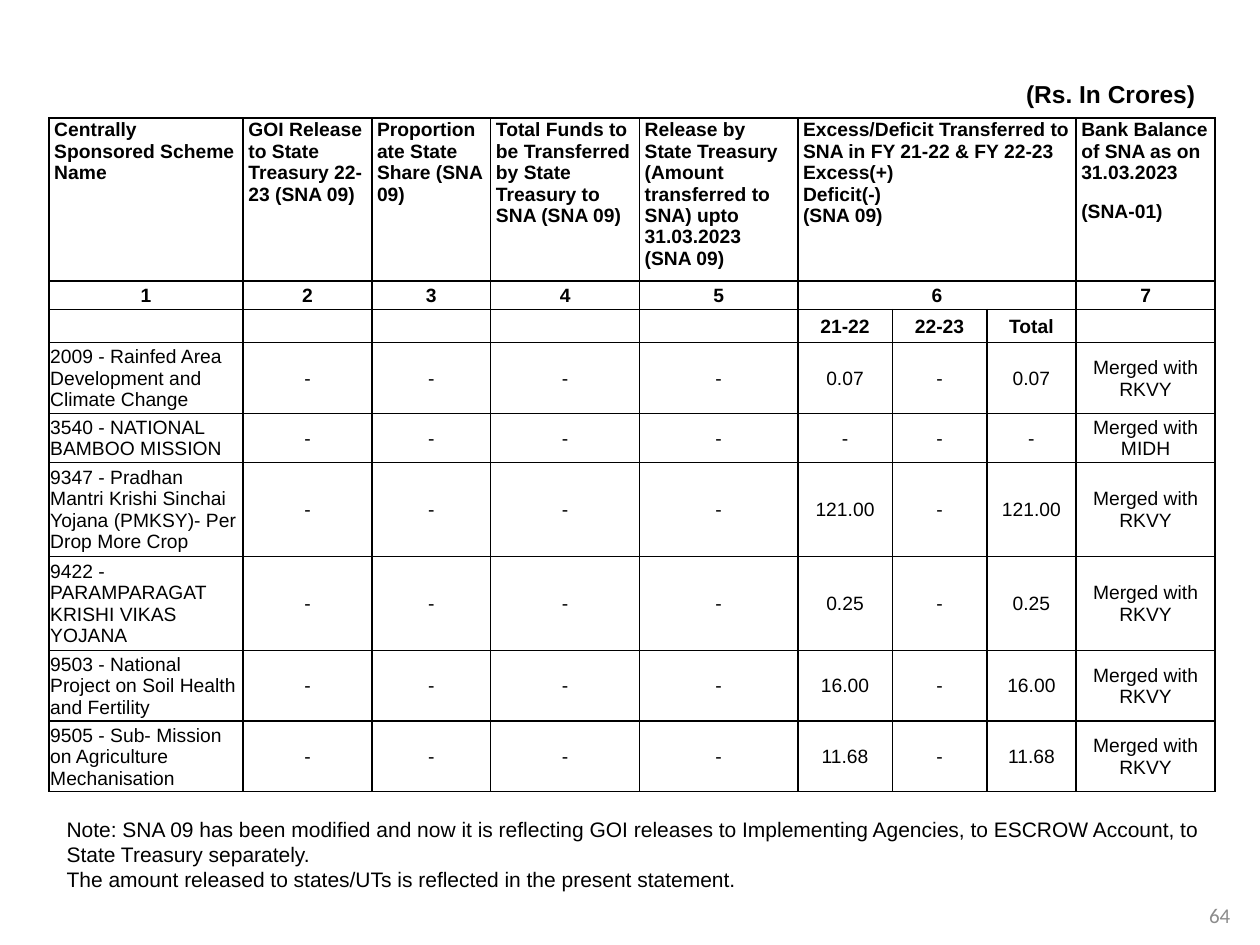
from lxml.etree import SubElement
from pptx import Presentation
from pptx.dml.color import RGBColor
from pptx.enum.text import MSO_ANCHOR, PP_ALIGN
from pptx.oxml.ns import qn
from pptx.util import Pt

COLORS = {"ink": "000000", "page": "8C8C8C"}
LEFT, MID, RIGHT = PP_ALIGN.LEFT, PP_ALIGN.CENTER, PP_ALIGN.RIGHT

deck = Presentation()
deck.slide_width, deck.slide_height = Pt(720), Pt(540)
slide = deck.slides.add_slide(deck.slide_layouts[6])


def write(frame, lines, size, align=LEFT, bold=False, face="Arial", color="ink", gap=0, ratio=1.0):
    """Fill a text frame with one paragraph per line, all in one format."""
    for n, line in enumerate(lines):
        para = frame.paragraphs[0] if n == 0 else frame.add_paragraph()
        format = {"alignment": align, "space_after": Pt(gap), "line_spacing": ratio}
        for key, value in format.items():
            setattr(para, key, value)
        if not line:
            SubElement(para._p, qn("a:endParaRPr"), sz=str(size * 100))
            continue
        run = para.add_run()
        run.text = line
        for key, value in {"size": Pt(size), "bold": bold, "name": face}.items():
            setattr(run.font, key, value)
        run.font.color.rgb = RGBColor.from_string(COLORS[color])


def border(cell):
    props = cell._tc.get_or_add_tcPr()
    for side in ("a:lnL", "a:lnR", "a:lnT", "a:lnB"):
        line = SubElement(props, qn(side), w=str(Pt(1)))
        fill = SubElement(line, qn("a:solidFill"))
        SubElement(fill, qn("a:srgbClr"), val=COLORS["ink"])


# Text boxes: place, lines, frame format, text format
notes = [
    "Note: SNA 09 has been modified and now it is reflecting GOI releases to "
    "Implementing Agencies, to ESCROW Account, to State Treasury separately.",
    "The amount released to states/UTs is reflected in the present statement.",
]
boxes = [
    ((31, 24.5, 663, 41), ["(Rs. In Crores)"],
     {"vertical_anchor": MSO_ANCHOR.BOTTOM, "margin_right": Pt(11)},
     {"size": 14, "align": RIGHT, "bold": True}),
    ((682.5, 508.5, 29, 29), ["64"],
     {"vertical_anchor": MSO_ANCHOR.MIDDLE, "margin_left": 0, "margin_right": 0},
     {"size": 12, "align": MID, "face": "Calibri", "color": "page"}),
    ((31, 463, 664, 51), notes, {}, {"size": 12}),
]
for place, lines, layout, style in boxes:
    frame = slide.shapes.add_textbox(*map(Pt, place)).text_frame
    frame.word_wrap = True
    for key, value in layout.items():
        setattr(frame, key, value)
    write(frame, lines, **style)

# Scheme table
widths = [111, 73.5, 68, 85, 90.5, 54, 54, 51, 79.5]
heights = [93, 16.3, 18.8, 40.5, 28, 53.7, 53.7, 40.2, 40.5]
heads = [
    ["Centrally Sponsored Scheme Name"],
    ["GOI Release to State Treasury 22-23 (SNA 09)"],
    ["Proportionate State Share (SNA 09)"],
    ["Total Funds to be Transferred by State Treasury to SNA (SNA 09)"],
    ["Release by State Treasury (Amount transferred to SNA) upto 31.03.2023 (SNA 09)"],
    ["Excess/Deficit Transferred to SNA in FY 21-22 & FY 22-23",
     "Excess(+)", "Deficit(-)", "(SNA 09)"],
    [""], [""],
    ["Bank Balance of SNA as on 31.03.2023", "(SNA-01)"],
]
schemes = [
    ("2009 - Rainfed Area Development and Climate Change", "0.07", "RKVY"),
    ("3540 - NATIONAL BAMBOO MISSION", "-", "MIDH"),
    ("9347 - Pradhan Mantri Krishi Sinchai Yojana (PMKSY)- Per Drop More Crop",
     "121.00", "RKVY"),
    ("9422 - PARAMPARAGAT KRISHI VIKAS YOJANA", "0.25", "RKVY"),
    ("9503 - National Project on Soil Health and Fertility", "16.00", "RKVY"),
    ("9505 - Sub- Mission on Agriculture Mechanisation", "11.68", "RKVY"),
]
rows = [
    heads,
    [[text] for text in ("1", "2", "3", "4", "5", "6", "", "", "7")],
    [[text] for text in [""] * 5 + ["21-22", "22-23", "Total", ""]],
]
for name, sum, target in schemes:
    texts = [name] + ["-"] * 4 + [sum, "-", sum, f"Merged with {target}"]
    rows.append([[text] for text in texts])

place = (28, 67.5, 666.5, 384.7)
table = slide.shapes.add_table(len(rows), len(widths), *map(Pt, place)).table
table.first_row = table.horz_banding = False
for col, width in zip(table.columns, widths):
    col.width = Pt(width)
for row, height in zip(table.rows, heights):
    row.height = Pt(height)
for r in (0, 1):
    table.cell(r, 5).merge(table.cell(r, 7))

for r, row in enumerate(rows):
    for c, lines in enumerate(row):
        cell = table.cell(r, c)
        side = Pt(3 if r < 2 else 0.7)
        layout = {
            "margin_left": side, "margin_right": side,
            "margin_top": Pt(0.7), "margin_bottom": 0,
            "vertical_anchor": MSO_ANCHOR.TOP if r < 2 else MSO_ANCHOR.MIDDLE,
        }
        for key, value in layout.items():
            setattr(cell, key, value)
        border(cell)
        cell.fill.background()
        if cell.is_spanned:
            continue
        align = LEFT if r == 0 or (r > 2 and c == 0) else MID
        write(cell.text_frame, lines, 11, align, bold=r < 3,
              gap=10 if r == 0 and c == 8 else 0, ratio=1.15 if r == 1 else 1.0)

deck.save("out.pptx")
